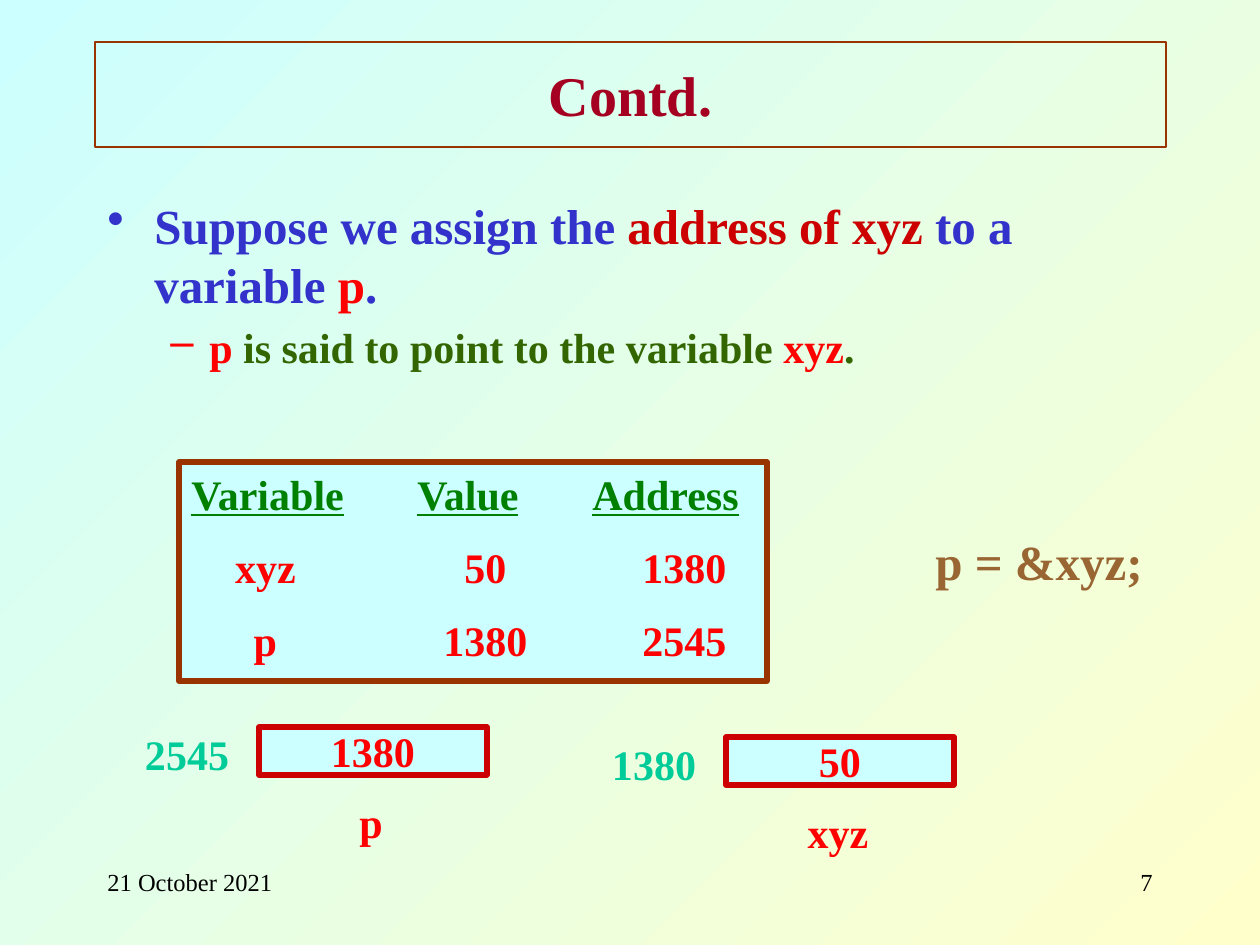
from lxml import etree
from pptx import Presentation
from pptx.dml.color import RGBColor
from pptx.enum.shapes import MSO_SHAPE
from pptx.enum.text import MSO_ANCHOR, PP_ALIGN
from pptx.oxml.ns import qn
from pptx.util import Emu, Pt

PX = 914400 / 126
FONT = "Times New Roman"
C = {
    "sky": "CCFFFF", "cream": "FFFFCC", "brown": "993300", "tan": "996633",
    "crimson": "A50021", "blue": "3333CC", "dark_red": "CC0000",
    "red": "FF0000", "olive": "336600", "green": "008000",
    "mint": "00CC99", "black": "000000",
}

TITLE = "Contd."
# bullet, size, left margin, hanging indent, space before, runs
BULLETS = [
    ("•", 28, 47, 47, 6, [
        ("Suppose we assign the ", "blue"), ("address of xyz", "dark_red"),
        (" to a variable ", "blue"), ("p", "red"), (".", "blue")]),
    ("–", 24, 102, 39, 5, [
        ("p", "red"), (" is said to point to the variable ", "olive"),
        ("xyz", "red"), (".", "olive")]),
]
HEADER = ["Variable", "Value", "Address"]
ROWS = [["xyz", "50", "1380"], ["p", "1380", "2545"]]
HEADER_TABS = [226, 401]
ROW_TABS = [74, 294, 493]
STATEMENT = "p = &xyz;"
# left, top of the cell, then address, value, name
MEMORY = [(726, 737, "1380", "50", "xyz"), (259, 727, "2545", "1380", "p")]
FOOTER = [(95, "21 October 2021", PP_ALIGN.LEFT), (903, "7", PP_ALIGN.RIGHT)]


def px(n):
    return Emu(round(n * PX))


def rgb(name):
    return RGBColor.from_string(C[name])


def add_run(p, text, size, color, bold=True, underline=None):
    r = p.add_run()
    r.text = text
    f = r.font
    f.name, f.size, f.bold, f.underline = FONT, Pt(size), bold, underline
    f.color.rgb = rgb(color)


def add_box(s, x, y, w, h, line=None, width=3):
    """Plain text box, or a filled rectangle when a line colour is given."""
    at = [px(n) for n in (x, y, w, h)]
    if line is None:
        sp = s.shapes.add_textbox(*at)
    else:
        sp = s.shapes.add_shape(MSO_SHAPE.RECTANGLE, *at)
        sp.shadow.inherit = False
        sp.fill.solid()
        sp.fill.fore_color.rgb = rgb("sky")
        sp.line.color.rgb = rgb(line)
        sp.line.width = Pt(width)
    sp.text_frame.word_wrap = True
    sp.text_frame.vertical_anchor = MSO_ANCHOR.TOP
    return sp


def write(sp, text, size, color, bold=True, align=PP_ALIGN.CENTER):
    p = sp.text_frame.paragraphs[0]
    p.alignment = align
    add_run(p, text, size, color, bold)


def next_paragraph(tf, i):
    return tf.paragraphs[0] if i == 0 else tf.add_paragraph()


def set_bullet(p, char, margin, hanging):
    pPr = p._p.get_or_add_pPr()
    pPr.set("marL", str(px(margin)))
    pPr.set("indent", str(-px(hanging)))
    etree.SubElement(pPr, qn("a:buChar")).set("char", char)


def set_tabs(p, stops, align):
    tabs = etree.SubElement(p._p.get_or_add_pPr(), qn("a:tabLst"))
    for stop in stops:
        tab = etree.SubElement(tabs, qn("a:tab"))
        tab.set("pos", str(px(stop)))
        tab.set("algn", align)


def add_title(s):
    sp = s.shapes.title
    sp.left, sp.top, sp.width, sp.height = [px(n) for n in (95, 42, 1071, 105)]
    sp.line.color.rgb = rgb("brown")
    sp.line.width = Pt(0.75)
    sp.text_frame.vertical_anchor = MSO_ANCHOR.MIDDLE
    write(sp, TITLE, 32, "crimson")


def add_bullets(s):
    tf = add_box(s, 95, 189, 1071, 651).text_frame
    for i, (char, size, margin, hanging, before, runs) in enumerate(BULLETS):
        p = next_paragraph(tf, i)
        p.space_before = Pt(before)
        set_bullet(p, char, margin, hanging)
        for text, color in runs:
            add_run(p, text, size, color)


def add_variables(s):
    tf = add_box(s, 179, 462, 588, 219, "brown").text_frame
    for i, row in enumerate([HEADER] + ROWS):
        p = next_paragraph(tf, i)
        p.alignment = PP_ALIGN.LEFT
        p.space_before = Pt(13)
        if i == 0:
            set_tabs(p, HEADER_TABS, "l")
            for j, name in enumerate(row):
                if j:
                    add_run(p, "\t", 24, "green", underline=False)
                add_run(p, name, 24, "green", underline=True)
        else:
            set_tabs(p, ROW_TABS, "ctr")
            add_run(p, "".join("\t" + value for value in row), 24, "red")


def add_memory_cell(s, x, y, address, value, name):
    cell = add_box(s, x, y, 228, 48, "dark_red")
    cell.text_frame.vertical_anchor = MSO_ANCHOR.MIDDLE
    cell.text_frame.word_wrap = False
    write(cell, value, 24, "red")
    write(add_box(s, x - 127, y - 5, 110, 63), address, 24, "mint")
    write(add_box(s, x + 57, y + 63, 110, 63), name, 24, "red")


def main():
    prs = Presentation()
    prs.slide_width, prs.slide_height = px(1260), px(945)
    s = prs.slides.add_slide(prs.slide_layouts[5])

    bg = s.background.fill
    bg.gradient()
    bg.gradient_angle = 315
    for stop, color in zip(bg.gradient_stops, ("sky", "cream")):
        stop.color.rgb = rgb(color)

    for x, text, align in FOOTER:
        write(add_box(s, x, 861, 262, 63), text, 14, "black", False, align)
    add_title(s)
    add_bullets(s)
    add_variables(s)
    write(add_box(s, 913, 525, 252, 72), STATEMENT, 28, "tan")
    for cell in MEMORY:
        add_memory_cell(s, *cell)
    prs.save("out.pptx")


if __name__ == "__main__":
    main()
